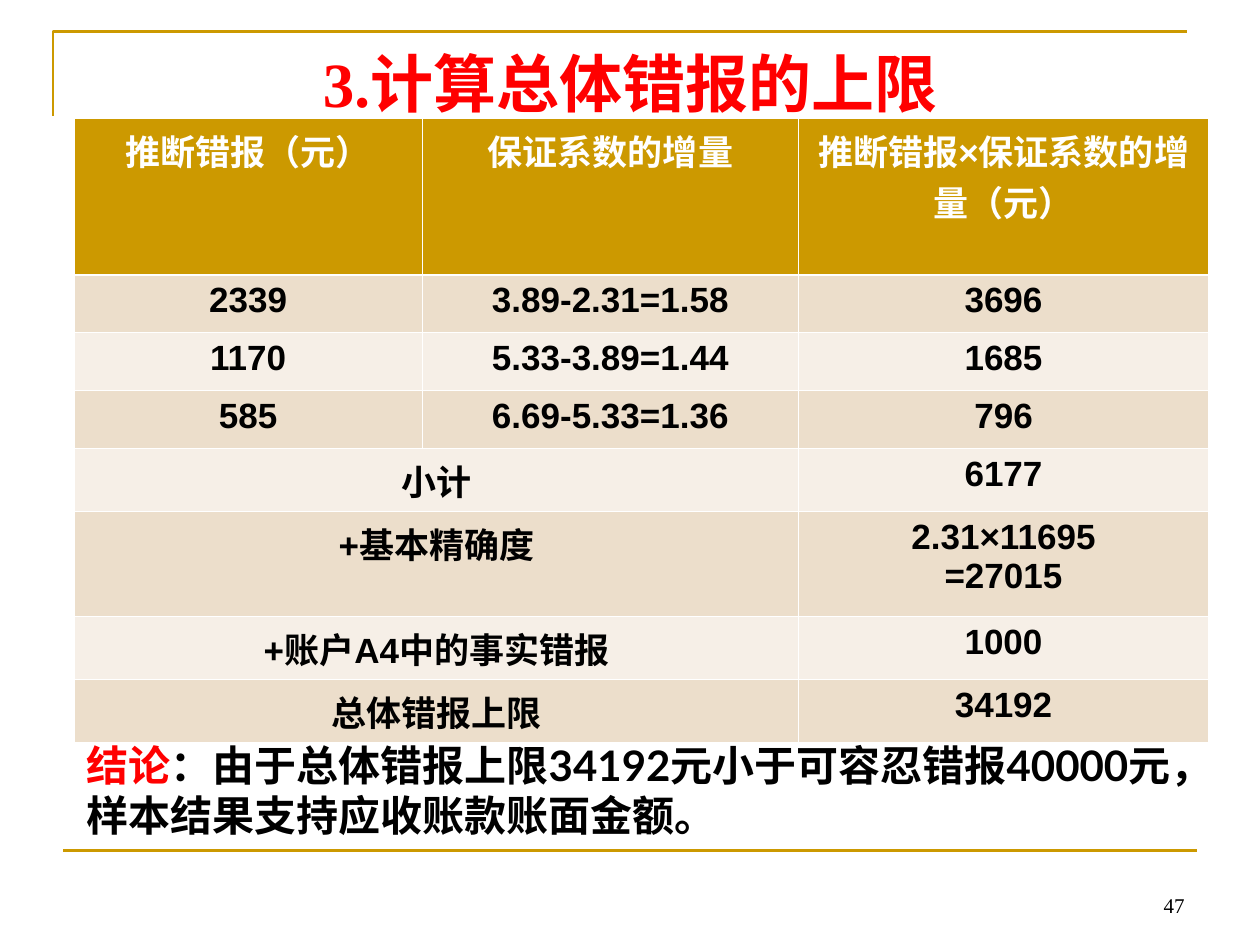
from dataclasses import dataclass

from lxml import etree
from pptx import Presentation
from pptx.dml.color import RGBColor
from pptx.enum import shapes, text
from pptx.oxml.ns import qn
from pptx.util import Inches, Pt


@dataclass(frozen=True)
class Theme:
    gold: str = "CC9900"
    red: str = "FF0000"
    black: str = "000000"
    white: str = "FFFFFF"
    bands: tuple = ("ECDECB", "F6EFE7")
    serif: str = "Times New Roman"
    sans: str = "Arial"
    body: str = "Lato"
    title_size: int = 36
    table_size: int = 20
    body_size: int = 24
    number_size: int = 12
    rule: float = 1.5
    grid: float = 0.45
    header_rule: float = 1.47


T = Theme()
COLUMNS = (2.76, 2.99, 3.25)
ROW_HEIGHTS = (1.24, 0.46, 0.46, 0.46, 0.5, 0.83, 0.5, 0.5)
# A None cell is covered by the cell to its left.
ROWS = (
    ("推断错报（元）", "保证系数的增量", "推断错报×保证系数的增量（元）"),
    ("2339", "3.89-2.31=1.58", "3696"),
    ("1170", "5.33-3.89=1.44", "1685"),
    ("585", "6.69-5.33=1.36", "796"),
    ("小计", None, "6177"),
    ("+基本精确度", None, "2.31×11695\n=27015"),
    ("+账户A4中的事实错报", None, "1000"),
    ("总体错报上限", None, "34192"),
)


def rgb(value):
    return RGBColor.from_string(value)


def style(r, font, size, color, bold=True):
    r.font.name, r.font.size, r.font.bold = font, Pt(size), bold
    r.font.color.rgb = rgb(color)


def add_text(s, box, align, anchor=text.MSO_ANCHOR.TOP):
    """Add an empty wrapped text box and return its first paragraph."""
    tf = s.shapes.add_textbox(*map(Inches, box)).text_frame
    tf.word_wrap = True
    tf.vertical_anchor = anchor
    p = tf.paragraphs[0]
    p.alignment = align
    return p


def add_run(p, words, *look):
    r = p.add_run()
    r.text = words
    style(r, *look)
    return r


def add_corner(s, left, top, width, height):
    builder = s.shapes.build_freeform(Inches(left), Inches(top + height))
    builder.add_line_segments(
        [(Inches(left), Inches(top)), (Inches(left + width), Inches(top))], close=False)
    sp = builder.convert_to_shape()
    sp.shadow.inherit = False
    sp.fill.background()
    sp.line.color.rgb = rgb(T.gold)
    sp.line.width = Pt(T.rule)


def add_bottom_rule(s, left, top, width):
    line = s.shapes.add_connector(
        shapes.MSO_CONNECTOR.STRAIGHT,
        Inches(left), Inches(top), Inches(left + width), Inches(top))
    line.line.color.rgb = rgb(T.gold)
    line.line.width = Pt(T.rule)
    etree.SubElement(line._element.spPr, qn("a:effectLst"))


def add_title(s, *box):
    p = add_text(s, box, text.PP_ALIGN.CENTER)
    add_run(p, "3.计算总体错报的上限", T.serif, T.title_size, T.red)


def set_borders(cell, top, bottom):
    tc_pr = cell._tc.get_or_add_tcPr()
    widths = (("lnL", T.grid), ("lnR", T.grid), ("lnT", top), ("lnB", bottom))
    for i, (tag, width) in enumerate(widths):
        ln = etree.Element(qn(f"a:{tag}"), w=str(int(Pt(width))))
        fill = etree.SubElement(ln, qn("a:solidFill"))
        etree.SubElement(fill, qn("a:srgbClr"), val=T.white)
        tc_pr.insert(i, ln)


def add_table(s, left, top, width, height):
    table = s.shapes.add_table(
        len(ROWS), len(COLUMNS), *map(Inches, (left, top, width, height))).table
    for column, size in zip(table.columns, COLUMNS):
        column.width = Inches(size)
    for row, size in zip(table.rows, ROW_HEIGHTS):
        row.height = Inches(size)
    for i, row in enumerate(ROWS):
        fill = T.bands[(i - 1) % 2] if i else T.gold
        color = T.black if i else T.white
        for j, words in enumerate(row):
            cell = table.cell(i, j)
            cell.fill.solid()
            cell.fill.fore_color.rgb = rgb(fill)
            set_borders(cell, T.header_rule if i == 1 else T.grid,
                        T.header_rule if i == 0 else T.grid)
            if words is None:
                table.cell(i, j - 1).merge(cell)
                continue
            cell.text_frame.text = words
            for p in cell.text_frame.paragraphs:
                p.alignment = text.PP_ALIGN.CENTER
                for r in p.runs:
                    style(r, T.sans, T.table_size, color)


def add_conclusion(s, *box):
    p = add_text(s, box, text.PP_ALIGN.LEFT)
    parts = (
        ("结论", T.red),
        ("：由于总体错报上限34192元小于可容忍错报40000元，样本结果支持应收账款账面金额。", T.black),
    )
    for words, color in parts:
        r = add_run(p, words, T.body, T.body_size, color)
        etree.SubElement(r.font._element, qn("a:ea"), typeface=T.body)


def add_slide_number(s, *box):
    p = add_text(s, box, text.PP_ALIGN.RIGHT, text.MSO_ANCHOR.BOTTOM)
    add_run(p, "47", T.serif, T.number_size, T.black, False)


def main():
    prs = Presentation()
    prs.slide_width, prs.slide_height = Inches(10), Inches(7.5)
    s = prs.slides.add_slide(prs.slide_layouts[6])
    add_corner(s, 0.42, 0.25, 9, 0.67)
    add_bottom_rule(s, 0.5, 6.75, 9)
    add_title(s, 0.5, 0.3, 9, 1.25)
    add_table(s, 0.59, 0.94, sum(COLUMNS), sum(ROW_HEIGHTS))
    add_slide_number(s, 7.17, 6.83, 2.33, 0.5)
    add_conclusion(s, 0.59, 5.82, 9.09, 0.9)
    prs.save("out.pptx")


if __name__ == "__main__":
    main()
